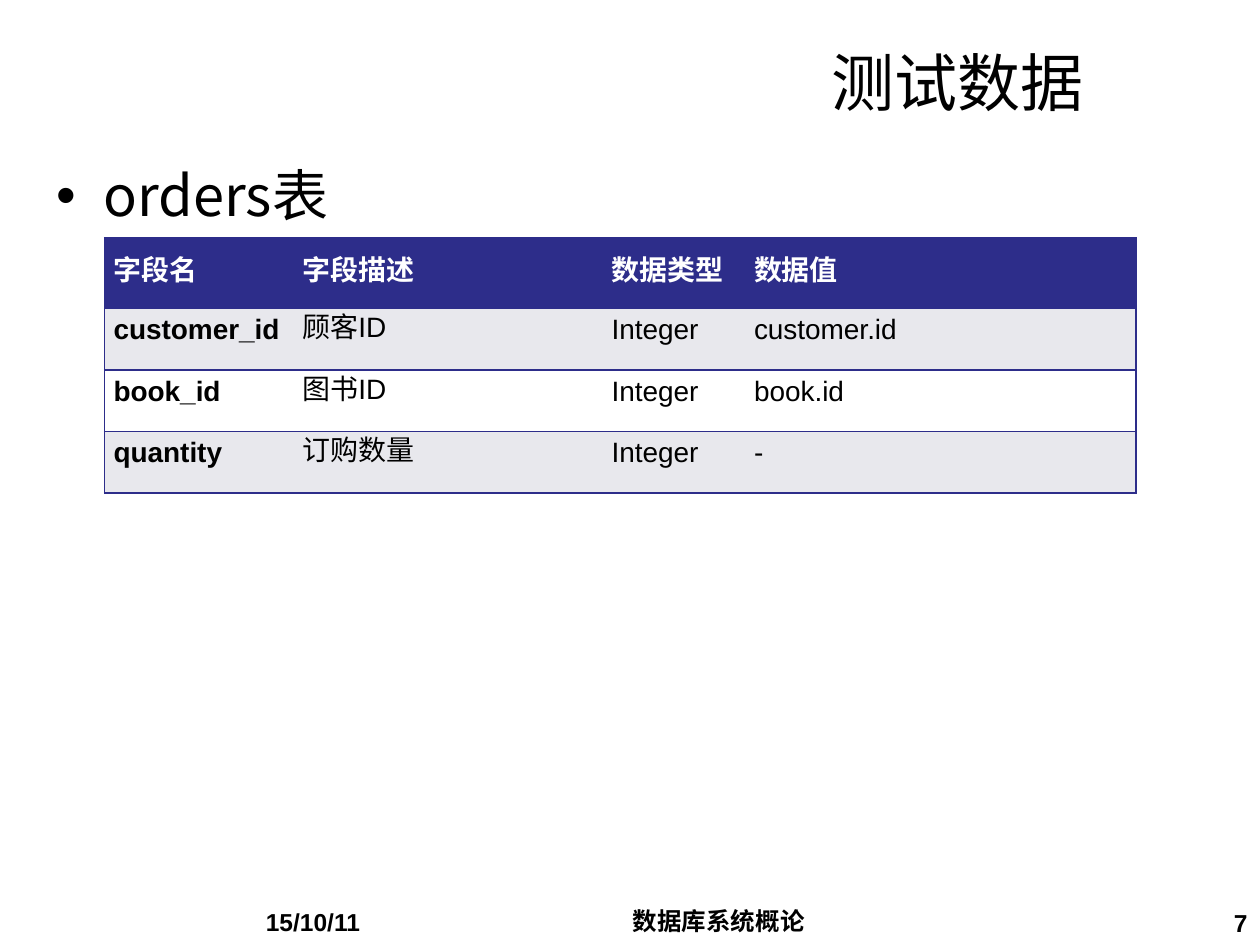
from lxml import etree
from pptx import Presentation
from pptx.dml.color import RGBColor
from pptx.enum.text import MSO_ANCHOR, PP_ALIGN
from pptx.oxml.ns import qn
from pptx.util import Cm, Pt

LEFT, CENTER, RIGHT = PP_ALIGN.LEFT, PP_ALIGN.CENTER, PP_ALIGN.RIGHT
TOP, MIDDLE = MSO_ANCHOR.TOP, MSO_ANCHOR.MIDDLE

BLACK = RGBColor(0x00, 0x00, 0x00)
WHITE = RGBColor(0xFF, 0xFF, 0xFF)
NAVY = RGBColor(0x2D, 0x2D, 0x8A)
BAND = RGBColor(0xE8, 0xE8, 0xED)

COL_WIDTHS = [3.81, 6.23, 2.87, 7.88]
ROW_HEIGHTS = [1.42, 1.24, 1.24, 1.24]
ORDERS = [
    ["字段名", "字段描述", "数据类型", "数据值"],
    ["customer_id", "顾客ID", "Integer", "customer.id"],
    ["book_id", "图书ID", "Integer", "book.id"],
    ["quantity", "订购数量", "Integer", "-"],
]


class SlideBuilder:
    font = "Arial"
    border = NAVY

    def __init__(self, slide):
        self.slide = slide

    def run(self, p, text, size, bold=False, color=BLACK, font=None):
        r = p.add_run()
        r.text = text
        r.font.name = font or self.font
        r.font.size = Pt(size)
        r.font.bold = bold
        r.font.color.rgb = color

    def text(self, box, text, size, align=LEFT, anchor=TOP, bold=False, font=None):
        sp = self.slide.shapes.add_textbox(*map(Cm, box))
        tf = sp.text_frame
        tf.word_wrap = True
        tf.vertical_anchor = anchor
        p = tf.paragraphs[0]
        p.alignment = align
        self.run(p, text, size, bold, font=font)
        return p

    def bullet(self, box, text, size, font):
        p = self.text(box, text, size, font=font)
        pPr = p._p.get_or_add_pPr()
        pPr.set("marL", str(Cm(0.95)))
        pPr.set("indent", str(-Cm(0.95)))
        etree.SubElement(pPr, qn("a:buFont")).set("typeface", self.font)
        etree.SubElement(pPr, qn("a:buChar")).set("char", "•")

    def cell_borders(self, cell, shown):
        tcPr = cell._tc.get_or_add_tcPr()
        for i, side in enumerate("LRTB"):
            ln = etree.Element(qn(f"a:ln{side}"), w=str(Pt(1)))
            if side in shown:
                fill = etree.SubElement(ln, qn("a:solidFill"))
                etree.SubElement(fill, qn("a:srgbClr")).set("val", str(self.border))
            else:
                etree.SubElement(ln, qn("a:noFill"))
            tcPr.insert(i, ln)

    def table(self, left, top, widths, heights, rows):
        frame = self.slide.shapes.add_table(
            len(rows), len(widths), Cm(left), Cm(top), Cm(sum(widths)), Cm(sum(heights)))
        table = frame.table
        for col, width in zip(table.columns, widths):
            col.width = Cm(width)
        for row, height in zip(table.rows, heights):
            row.height = Cm(height)

        last = len(widths) - 1
        for i, row in enumerate(rows):
            header = i == 0
            fill = NAVY if header else BAND if i % 2 else WHITE
            for j, text in enumerate(row):
                cell = table.cell(i, j)
                cell.margin_left = cell.margin_right = Cm(0.18)
                cell.margin_top = cell.margin_bottom = 0
                cell.vertical_anchor = MIDDLE if header else TOP
                cell.fill.solid()
                cell.fill.fore_color.rgb = fill
                sides = "TB" + ("L" if j == 0 else "") + ("R" if j == last else "")
                self.cell_borders(cell, sides)
                p = cell.text_frame.paragraphs[0]
                p.line_spacing = Pt(17.3 if header else 21.3)
                self.run(p, text, 16, header or j == 0, WHITE if header else BLACK)


def main():
    prs = Presentation()
    prs.slide_width, prs.slide_height = Cm(25.4), Cm(19.05)
    s = SlideBuilder(prs.slides.add_slide(prs.slide_layouts[6]))

    # Title and bullet
    s.text((2.9, 0.53, 19.2, 2.21), "测试数据", 36, RIGHT, MIDDLE, font="Times New Roman")
    s.bullet((0.89, 3.12, 23.8, 14.6), "orders表", 32, "Noto Sans CJK SC")

    # Footer
    s.text((5.11, 18.16, 5.59, 0.89), "15/10/11", 14, bold=True)
    s.text((8.89, 18.14, 11.2, 1.12), "数据库系统概论", 14, CENTER, bold=True)
    s.text((21.31, 18.19, 4.09, 0.94), "7", 14, RIGHT, bold=True)

    # Field table
    s.table(2.11, 4.8, COL_WIDTHS, ROW_HEIGHTS, ORDERS)

    prs.save("out.pptx")


if __name__ == "__main__":
    main()
